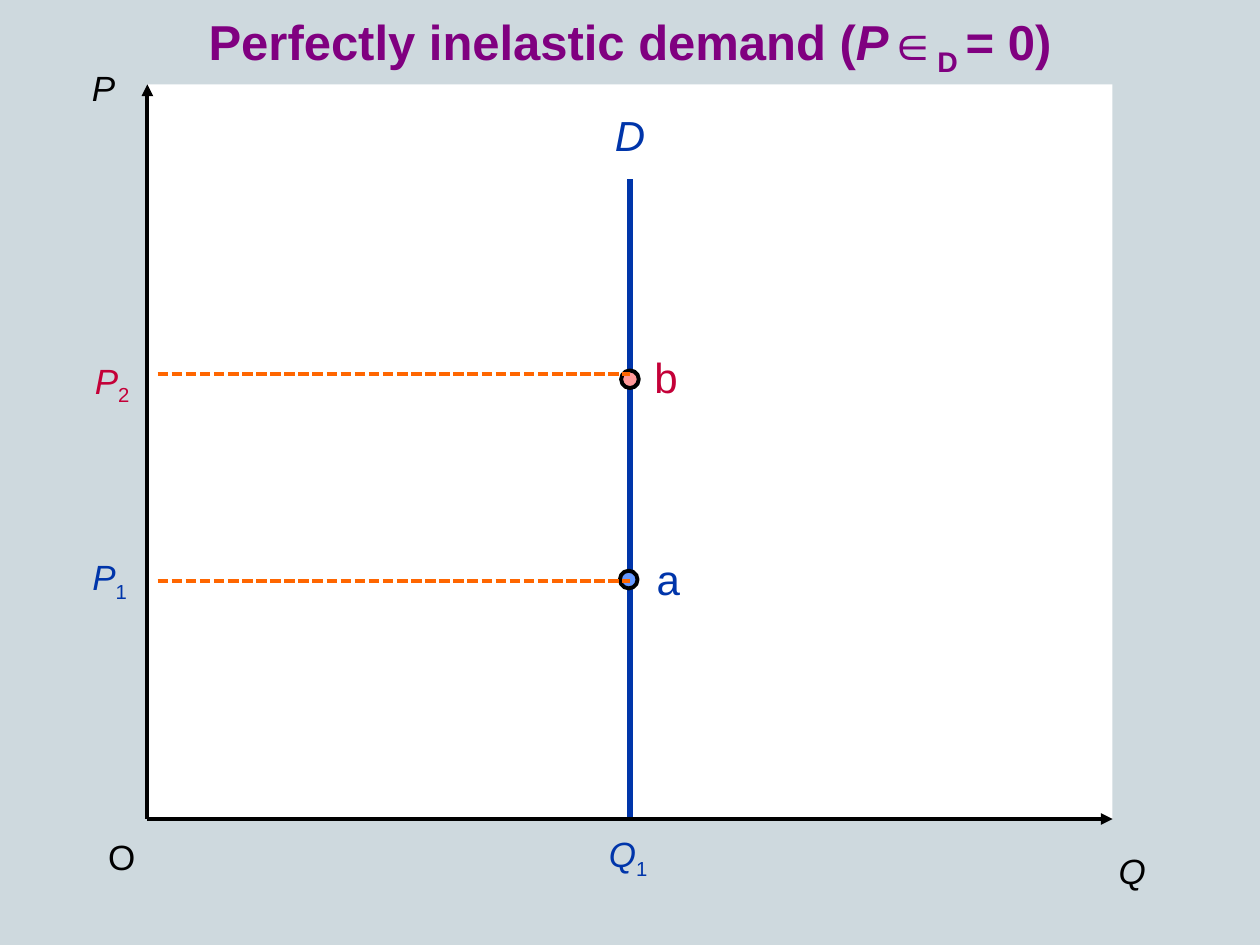
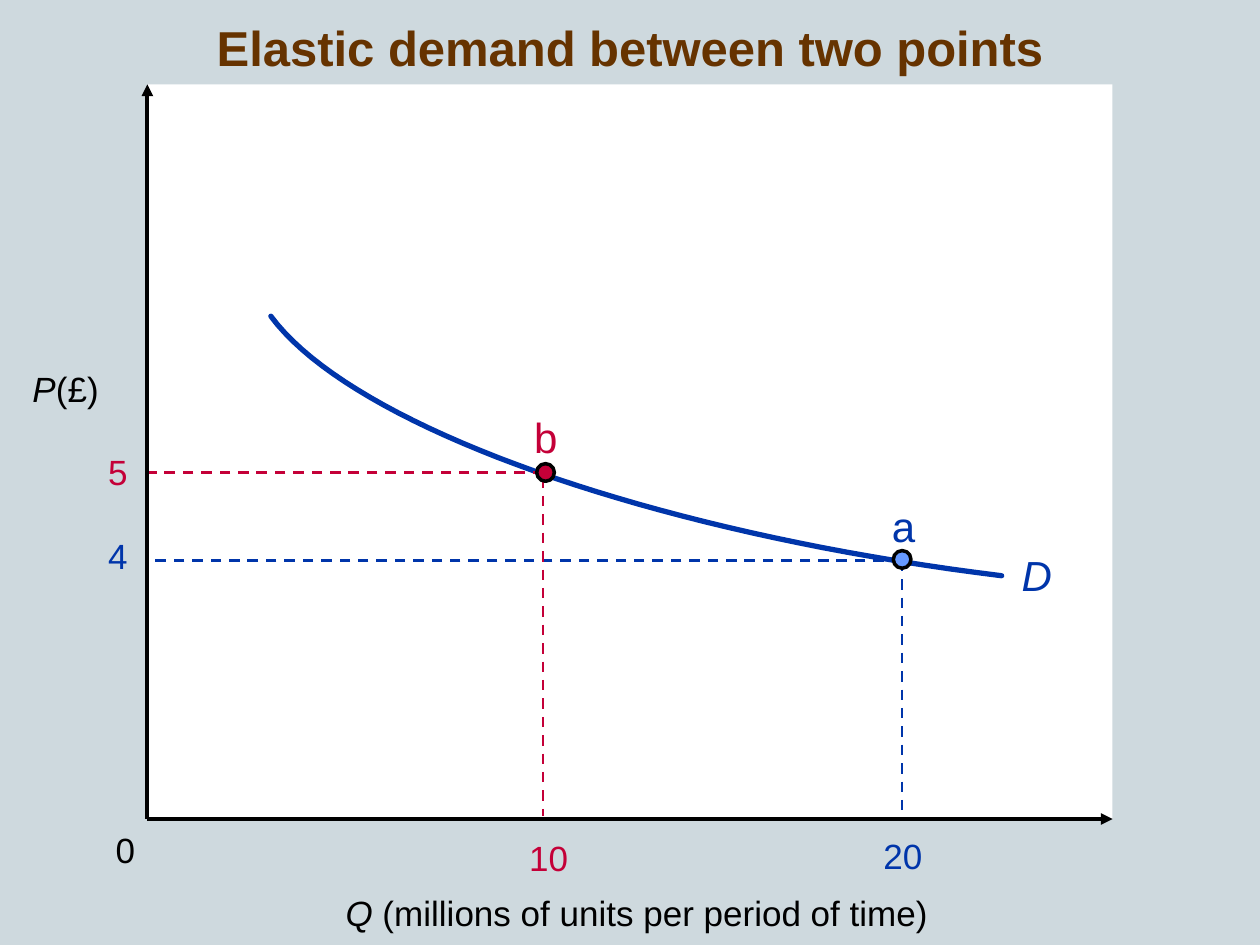
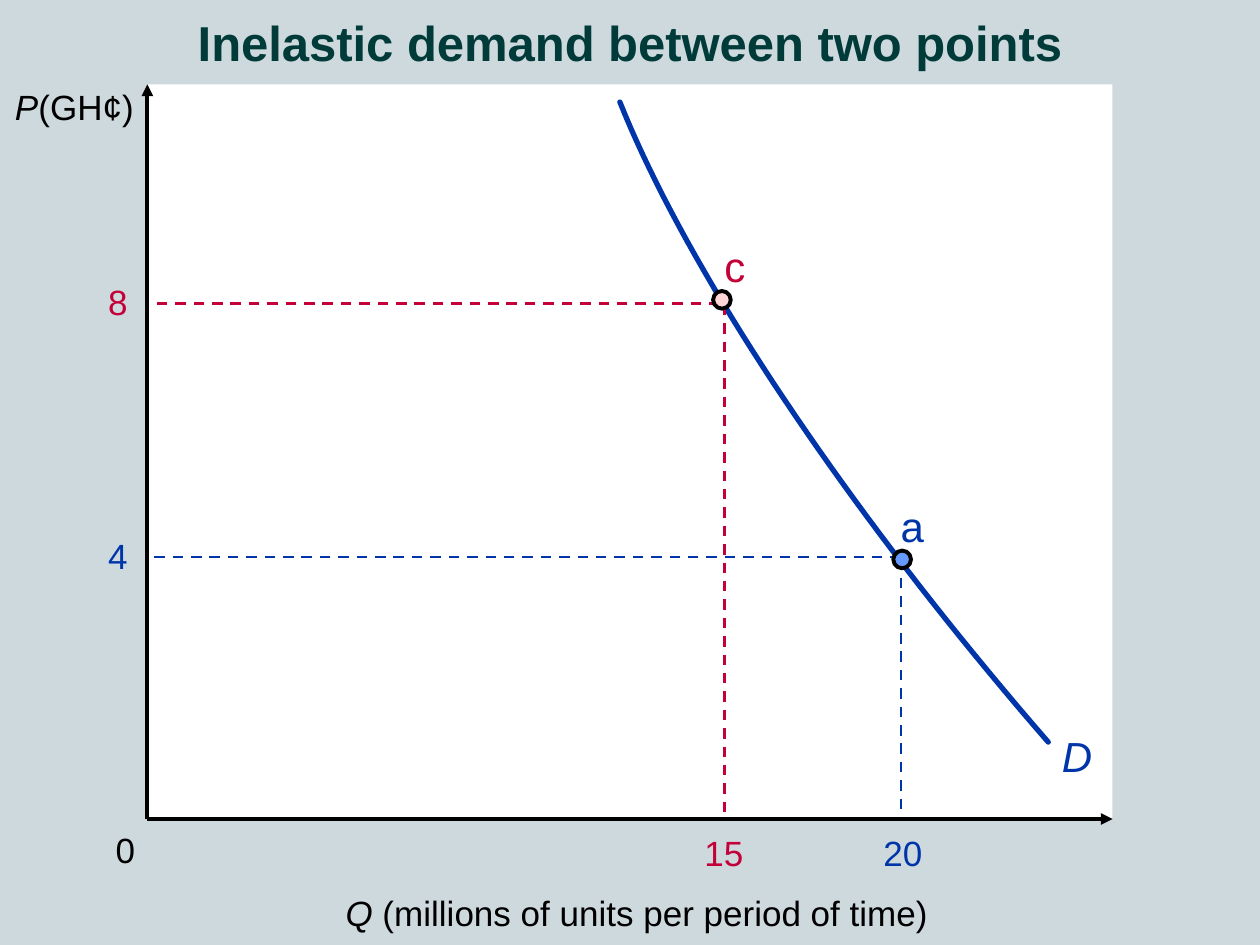
import collections

import pptx
import pptx.dml.color
import pptx.enum.dml
import pptx.enum.shapes
import pptx.enum.text
import pptx.oxml
import pptx.oxml.ns
import pptx.util

RGB = pptx.dml.color.RGBColor
Inches, Pt = pptx.util.Inches, pptx.util.Pt
ALIGN = pptx.enum.text.PP_ALIGN
SHAPE = pptx.enum.shapes.MSO_SHAPE
DASH = pptx.enum.dml.MSO_LINE

# Shared style
BACKGROUND = RGB(0xCE, 0xD9, 0xDE)
WHITE = RGB(0xFF, 0xFF, 0xFF)
BLACK = RGB(0, 0, 0)
BLUE = RGB(0x00, 0x35, 0xAA)
RED = RGB(0xC4, 0x00, 0x38)
ORANGE = RGB(0xFF, 0x66, 0x00)
LIGHT_BLUE = RGB(0x66, 0x99, 0xFF)
SALMON = RGB(0xFF, 0x99, 0x99)
PINK = RGB(0xFF, 0xD5, 0xD5)
PURPLE = RGB(0x80, 0x00, 0x80)
BROWN = RGB(0x66, 0x33, 0x00)
DARK_TEAL = RGB(0x00, 0x3B, 0x3A)
FONT = "Arial"
WIDTH, HEIGHT = 10, 7.5
LEFT, TOP, RIGHT, BOTTOM = 1.17, 0.67, 8.83, 6.5  # plot area
DOT = 0.14

# Content: runs are (text, style), with style "", "i" (italic) or "sub"
Label = collections.namedtuple(
    "Label", "runs left top width color size align wrap",
    defaults=(BLACK, 20, ALIGN.LEFT, False))
Guide = collections.namedtuple("Guide", "start end color")
Point = collections.namedtuple("Point", "left top fill line_width", defaults=(2.25,))

D = [("D", "i")]
QUANTITY_AXIS = [
    Label([("Q", "i"), (" (millions of units per period of time)", "")],
          2.64, 7.03, 4.83, align=ALIGN.CENTER),
    Label([("0", "")], 0.82, 6.53, 0.36),
]


def subscripted(letter, number, left, top, width, color):
    return Label([(letter, "i"), (number, "sub")], left, top, width, color,
                 align=ALIGN.CENTER)


def price(text, top, color):
    return Label([(text, "")], 0.76, top, 0.36, color)


def quantity(text, left, top, color):
    return Label([(text, "")], left, top, 0.51, color, align=ALIGN.CENTER)


def point_name(text, left, top, color, align=ALIGN.LEFT):
    return Label([(text, "")], left, top, 0.39, color, 24, align)


SLIDES = [
    dict(
        title=[("Perfectly inelastic demand (", ""), ("P", "i"), ("∈", ""),
               ("D ", "sub"), ("= 0)", "")],
        title_color=PURPLE, title_height=0.67,
        demand=[(5, BOTTOM), (5, 1.42)],
        guides=[Guide((1.25, 4.61), (5, 4.61), ORANGE),
                Guide((1.25, 2.97), (5, 2.97), ORANGE)],
        guide_width=2, guide_dash=DASH.SQUARE_DOT, guides_on_top=True,
        points=[Point(4.92, 4.53, LIGHT_BLUE), Point(4.93, 2.94, SALMON)],
        labels=[
            Label([("P", "i")], 0.63, 0.48, 0.52, wrap=True),
            Label([("Q", "i")], 8.78, 6.69, 0.51, wrap=True),
            Label([("O", "")], 0.76, 6.58, 0.42),
            subscripted("P", "2", 0.65, 2.8, 0.48, RED),
            subscripted("P", "1", 0.63, 4.36, 0.48, BLUE),
            subscripted("Q", "1", 4.73, 6.56, 0.51, BLUE),
            Label(D, 4.78, 0.82, 0.44, BLUE, 24, ALIGN.CENTER),
            point_name("b", 5.09, 2.74, RED, ALIGN.CENTER),
            point_name("a", 5.11, 4.34, BLUE, ALIGN.CENTER),
        ]),
    dict(
        title=[("Elastic demand between two points", "")],
        title_color=BROWN, title_height=0.66,
        demand=[(7.95, 4.57), (5.17, 4.23), (2.8, 3.39), (2.15, 2.51)],
        guides=[Guide((7.16, 4.45), (LEFT, 4.45), BLUE),
                Guide((7.16, 4.45), (7.16, BOTTOM), BLUE),
                Guide((4.31, 3.75), (LEFT, 3.75), RED),
                Guide((4.31, 3.79), (4.31, 6.48), RED)],
        guide_width=1.5, guide_dash=DASH.DASH, guides_on_top=False,
        points=[Point(7.09, 4.37, LIGHT_BLUE, 2), Point(4.26, 3.68, RED, 2)],
        labels=QUANTITY_AXIS + [
            Label([("P", "i"), ("(£)", "")], 0.16, 2.87, 0.73),
            price("4", 4.19, BLUE), price("5", 3.53, RED),
            quantity("20", 6.91, 6.57, BLUE), quantity("10", 4.1, 6.59, RED),
            point_name("a", 6.98, 3.92, BLUE), point_name("b", 4.14, 3.22, RED),
            Label(D, 8.01, 4.31, 0.44, BLUE, 24),
        ]),
    dict(
        title=[("Inelastic demand between two points", "")],
        title_color=DARK_TEAL, title_height=0.62,
        demand=[(8.32, 5.89), (6.72, 4.05), (5.46, 2.16), (4.92, 0.81)],
        guides=[Guide((7.15, 4.42), (1.15, 4.42), BLUE),
                Guide((7.15, 4.44), (7.15, 6.48), BLUE),
                Guide((5.71, 2.41), (1.15, 2.41), RED),
                Guide((5.75, 2.42), (5.75, BOTTOM), RED)],
        guide_width=1.5, guide_dash=DASH.DASH, guides_on_top=False,
        points=[Point(7.09, 4.37, LIGHT_BLUE), Point(5.66, 2.31, PINK)],
        labels=QUANTITY_AXIS + [
            Label([("P", "i"), ("(GH¢)", "")], 0.02, 0.63, 1.15),
            price("4", 4.19, BLUE), price("8", 2.18, RED),
            quantity("20", 6.91, 6.55, BLUE), quantity("15", 5.49, 6.55, RED),
            point_name("a", 7.05, 3.92, BLUE), point_name("c", 5.65, 1.86, RED),
            Label(D, 8.33, 5.75, 0.44, BLUE, 24),
        ]),
]


def sub_element(parent, tag, **attributes):
    child = parent.makeelement(pptx.oxml.ns.qn(tag), attributes)
    parent.append(child)
    return child


def write(p, runs, size, color, align, bold=False):
    p.alignment = align
    p.font.name, p.font.size, p.font.bold = FONT, Pt(size), bold
    p.font.color.rgb = color
    for text, style in runs:
        r = p.add_run()
        r.text = text
        if style == "i":
            r.font.italic = True
        elif style == "sub":
            r.font._element.set("baseline", "-25000")


def add_title(slide, runs, color, height):
    sp = slide.shapes.title
    sp.left, sp.top, sp.width, sp.height = 0, 0, Inches(WIDTH), Inches(height)
    tf = sp.text_frame
    tf.vertical_anchor = pptx.enum.text.MSO_ANCHOR.BOTTOM
    tf.auto_size = pptx.enum.text.MSO_AUTO_SIZE.NONE
    p = tf.paragraphs[0]
    write(p, runs, 28, color, ALIGN.CENTER, bold=True)
    for r in p.runs:  # black text shadow
        effects = sub_element(r.font._element, "a:effectLst")
        shadow = sub_element(effects, "a:outerShdw", dist="35921", dir="2700000")
        sub_element(shadow, "a:srgbClr", val=str(BLACK))


def add_label(slide, label):
    height = 0.5 if label.size == 24 else 0.43
    if label.runs[-1][1] == "sub":
        height = 0.48
    sp = slide.shapes.add_textbox(Inches(label.left), Inches(label.top),
                                  Inches(label.width), Inches(height))
    tf = sp.text_frame
    tf.word_wrap = label.wrap
    tf.auto_size = pptx.enum.text.MSO_AUTO_SIZE.SHAPE_TO_FIT_TEXT
    write(tf.paragraphs[0], label.runs, label.size, label.color, label.align)


def add_line(slide, start, end, color, width, dash=None, arrow=False):
    line = slide.shapes.add_connector(
        pptx.enum.shapes.MSO_CONNECTOR.STRAIGHT,
        *(Inches(v) for v in (*start, *end)))
    line.line.color.rgb, line.line.width = color, Pt(width)
    if dash:
        line.line.dash_style = dash
    if arrow:
        sub_element(line.line._get_or_add_ln(), "a:tailEnd", type="triangle")
    sub_element(line._element.spPr, "a:effectLst")


def add_shape(slide, kind, left, top, width, height, fill):
    sp = slide.shapes.add_shape(
        kind, *(Inches(v) for v in (left, top, width, height)))
    sp.shadow.inherit = False
    sp.fill.solid()
    sp.fill.fore_color.rgb = fill
    sp.line.fill.background()
    return sp


def add_curve(slide, controls, steps=40):
    """Draw a cubic Bezier curve as an open outline."""
    def at(t):
        weights = ((1 - t) ** 3, 3 * t * (1 - t) ** 2, 3 * t * t * (1 - t), t ** 3)
        return tuple(Inches(sum(w * c[axis] for w, c in zip(weights, controls)))
                     for axis in (0, 1))

    builder = slide.shapes.build_freeform(*at(0))
    builder.add_line_segments([at(i / steps) for i in range(1, steps + 1)], close=False)
    sp = builder.convert_to_shape()
    sp.shadow.inherit = False
    sp.fill.background()
    sp.line.color.rgb, sp.line.width = BLUE, Pt(3)
    ln = sp.line._get_or_add_ln()
    ln.set("cap", "rnd")
    sub_element(ln, "a:round")


def add_guides(slide, content):
    for guide in content["guides"]:
        add_line(slide, *guide, content["guide_width"], content["guide_dash"])


def build_slide(prs, content):
    slide = prs.slides.add_slide(prs.slide_layouts[5])
    add_title(slide, content["title"], content["title_color"], content["title_height"])
    add_shape(slide, SHAPE.RECTANGLE, LEFT, TOP, RIGHT - LEFT, BOTTOM - TOP, WHITE)

    # Demand
    if len(content["demand"]) == 2:
        add_line(slide, *content["demand"], BLUE, 3)
    else:
        add_curve(slide, content["demand"])
    if not content["guides_on_top"]:
        add_guides(slide, content)

    # Axes
    for end in ((LEFT, TOP), (RIGHT, BOTTOM)):
        add_line(slide, (LEFT, BOTTOM), end, BLACK, 2.25, arrow=True)

    # Points and labels
    for point in content["points"]:
        dot = add_shape(slide, SHAPE.OVAL, point.left, point.top, DOT, DOT, point.fill)
        dot.line.color.rgb, dot.line.width = BLACK, Pt(point.line_width)
    for label in content["labels"]:
        add_label(slide, label)
    if content["guides_on_top"]:
        add_guides(slide, content)


def main():
    prs = pptx.Presentation()
    prs.slide_width, prs.slide_height = Inches(WIDTH), Inches(HEIGHT)
    fill = prs.slide_master.background.fill
    fill.solid()
    fill.fore_color.rgb = BACKGROUND
    for content in SLIDES:
        build_slide(prs, content)
    prs.save("out.pptx")


if __name__ == "__main__":
    main()
